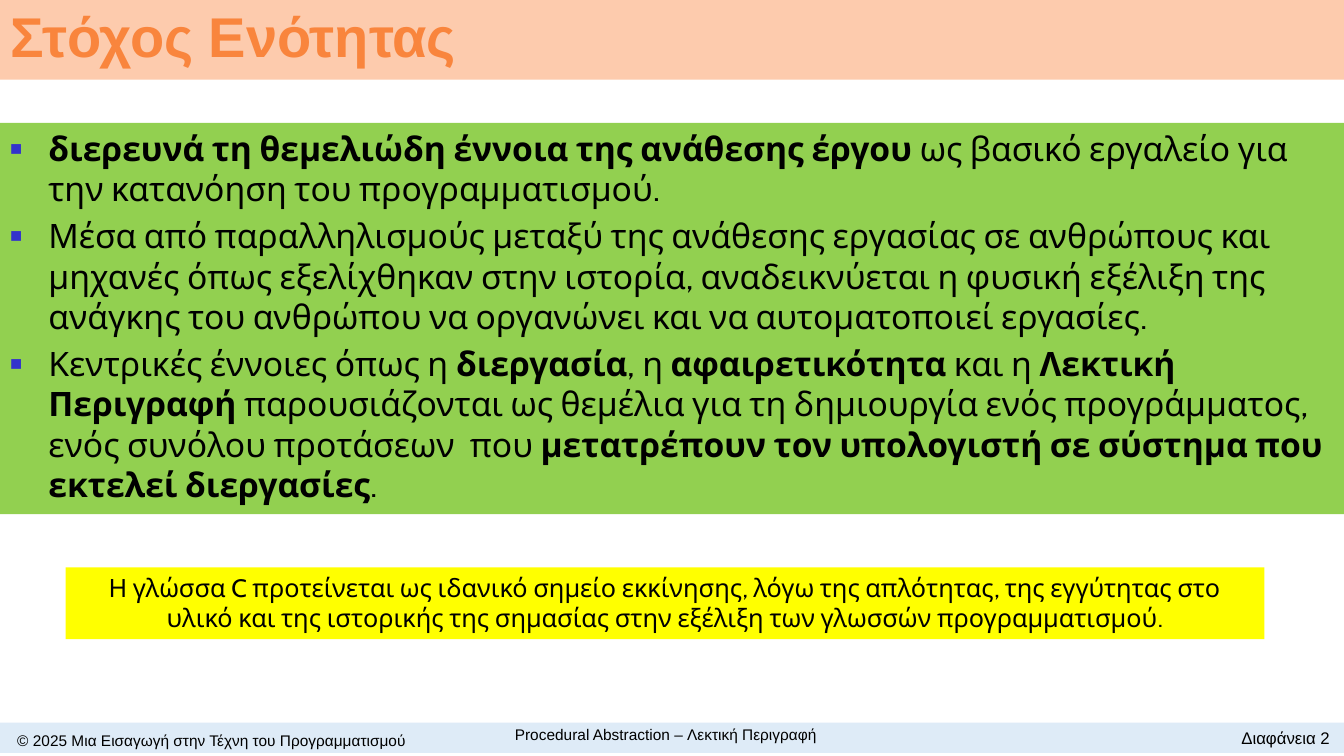
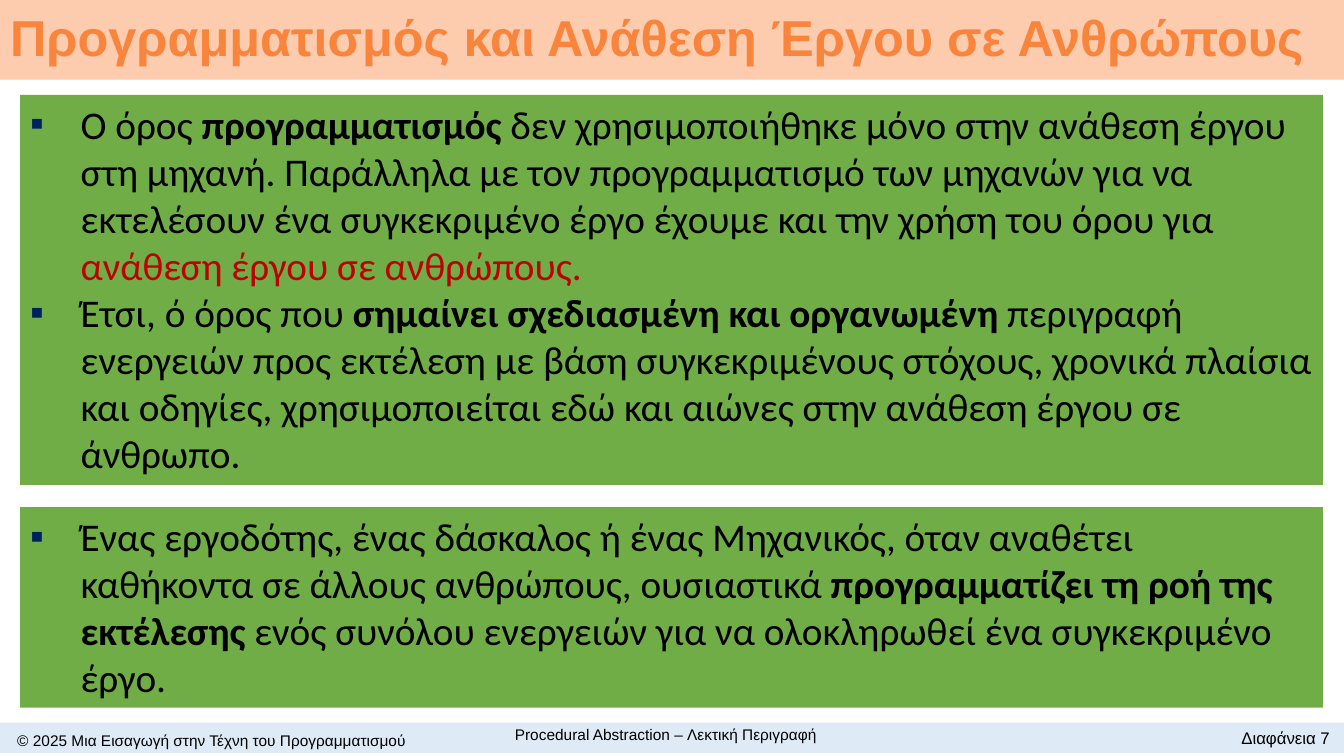
from lxml import etree
from pptx import Presentation
from pptx.dml.color import RGBColor
from pptx.enum import text
from pptx.oxml.ns import qn
from pptx.util import Inches, Pt

HUES = {"title": "F9853D", "band": "FDCBAD", "foot": "DEEBF7", "ink": "000000",
        "lime": "92D050", "note": "FFFF00", "leaf": "70AD47", "red": "C00000",
        "blue": "3333CC", "navy": "002060"}
LEFT, MID, RIGHT = text.PP_ALIGN.LEFT, text.PP_ALIGN.CENTER, text.PP_ALIGN.RIGHT
WIDE = 13.33

# bullet sign, colour, size in percent, indent in inches
SQUARE = ("■", "blue", 60, 0.38)
SMALL = ("▪", "navy", 100, 0.5)


def fill(shape, box, lines, font, size, hue="ink", back=None, align=LEFT,
         anchor=text.MSO_ANCHOR.TOP, mark=None, gap=0):
    """Place a shape and set its text; parts between asterisks are bold."""
    shape.left, shape.top, shape.width, shape.height = map(Inches, box)
    if back:
        shape.fill.solid()
        shape.fill.fore_color.rgb = RGBColor.from_string(HUES[back])
    frame = shape.text_frame
    frame.word_wrap = True
    frame.auto_size = text.MSO_AUTO_SIZE.NONE
    frame.vertical_anchor = anchor
    for i, line in enumerate(lines):
        para = frame.add_paragraph() if i else frame.paragraphs[0]
        if mark:
            sign, tint, scale, dent = mark
            props = para._p.get_or_add_pPr()
            props.set("marL", str(Inches(dent)))
            props.set("indent", str(-Inches(dent)))
            color = etree.SubElement(props, qn("a:buClr"))
            etree.SubElement(color, qn("a:srgbClr"), val=HUES[tint])
            etree.SubElement(props, qn("a:buSzPct"), val=str(scale * 1000))
            etree.SubElement(props, qn("a:buFont"), typeface="Arial")
            etree.SubElement(props, qn("a:buChar"), char=sign)
        para.alignment = align
        para.space_before = Pt(gap if i else 0)
        for k, part in enumerate(line.split("*")):
            if part:
                run = para.add_run()
                run.text = part
                run.font.name, run.font.size = font, Pt(size)
                run.font.bold = k % 2 == 1
                run.font.color.rgb = RGBColor.from_string(HUES[hue])
    return frame


def start(title, size, page):
    """Add a slide with its title band and footer."""
    slide = deck.slides.add_slide(deck.slide_layouts[1])
    center = text.MSO_ANCHOR.MIDDLE
    head = fill(slide.shapes.title, (0, 0, WIDE, 0.79), [f"*{title}*"], "Arial", size,
                "title", "band", anchor=center)
    head.paragraphs[0].line_spacing = 0.9
    foot = [((0, 7.17, WIDE, 0.3), [], 11, "foot", LEFT),
            ((0, 7.22, 4.2, 0.26), ["© 2025 Μια Εισαγωγή στην Τέχνη του Προγραμματισμού"],
             11, None, MID),
            ((4.07, 7.14, 5.07, 0.3), ["Procedural Abstraction – Λεκτική Περιγραφή"],
             11, None, MID),
            ((11.23, 7.17, 2.06, 0.3), [f"Διαφάνεια {page}"], 12, None, RIGHT)]
    for box, lines, points, back, align in foot:
        fill(slide.shapes.add_textbox(0, 0, 0, 0), box, lines, "Arial", points,
             back=back, align=align, anchor=center)
    return slide


deck = Presentation()
deck.slide_width, deck.slide_height = Inches(WIDE), Inches(7.5)

# Slide: goal of the unit
slide = start("Στόχος Ενότητας", 40, 2)
goals = [
    "*διερευνά τη θεμελιώδη έννοια της ανάθεσης έργου* ως βασικό εργαλείο για την "
    "κατανόηση του προγραμματισμού.",
    "Μέσα από παραλληλισμούς μεταξύ της ανάθεσης εργασίας σε ανθρώπους και μηχανές όπως "
    "εξελίχθηκαν στην ιστορία, αναδεικνύεται η φυσική εξέλιξη της ανάγκης του ανθρώπου "
    "να οργανώνει και να αυτοματοποιεί εργασίες.",
    "Κεντρικές έννοιες όπως η *διεργασία*, η *αφαιρετικότητα* και η *Λεκτική Περιγραφή "
    "*παρουσιάζονται ως θεμέλια για τη δημιουργία ενός προγράμματος, ενός συνόλου "
    "προτάσεων  που *μετατρέπουν τον υπολογιστή σε σύστημα που εκτελεί διεργασίες*.",
]
fill(slide.placeholders[1], (0, 1.22, WIDE, 3.88), goals, "Cabin", 24,
     back="lime", mark=SQUARE, gap=4.8)
note = ("Η γλώσσα C προτείνεται ως ιδανικό σημείο εκκίνησης, λόγω της απλότητας, της "
        "εγγύτητας στο υλικό και της ιστορικής της σημασίας στην εξέλιξη των γλωσσών "
        "προγραμματισμού.")
fill(slide.shapes.add_textbox(0, 0, 0, 0), (0.65, 5.63, 11.89, 0.71), [note], "Cabin", 18,
     back="note", align=MID)

# Slide: programming and delegating work to people
slide = start("Προγραμματισμός και Ανάθεση Έργου σε Ανθρώπους", 36, 7)
terms = [
    "Ο όρος *προγραμματισμός* δεν χρησιμοποιήθηκε μόνο στην ανάθεση έργου στη μηχανή. "
    "Παράλληλα με τον προγραμματισμό των μηχανών για να εκτελέσουν ένα συγκεκριμένο έργο "
    "έχουμε και την χρήση του όρου για **ανάθεση έργου σε ανθρώπους.",
    "Έτσι, ό όρος που *σημαίνει σχεδιασμένη και οργανωμένη* περιγραφή ενεργειών προς "
    "εκτέλεση με βάση συγκεκριμένους στόχους, χρονικά πλαίσια και οδηγίες, "
    "χρησιμοποιείται εδώ και αιώνες στην ανάθεση έργου σε άνθρωπο.",
]
roles = [
    "Ένας εργοδότης, ένας δάσκαλος ή ένας Μηχανικός, όταν αναθέτει καθήκοντα σε άλλους "
    "ανθρώπους, ουσιαστικά *προγραμματίζει τη ροή της εκτέλεσης* ενός συνόλου ενεργειών "
    "για να ολοκληρωθεί ένα συγκεκριμένο έργο.",
]
look = dict(font="Calibri", size=28, back="leaf", mark=SMALL)
body = fill(slide.placeholders[1], (0.2, 0.94, 12.92, 3.87), terms, **look)
body.paragraphs[0].runs[-1].font.color.rgb = RGBColor.from_string(HUES["red"])
fill(slide.shapes.add_textbox(0, 0, 0, 0), (0.2, 5.03, 12.92, 1.99), roles, **look)

deck.save("out.pptx")
